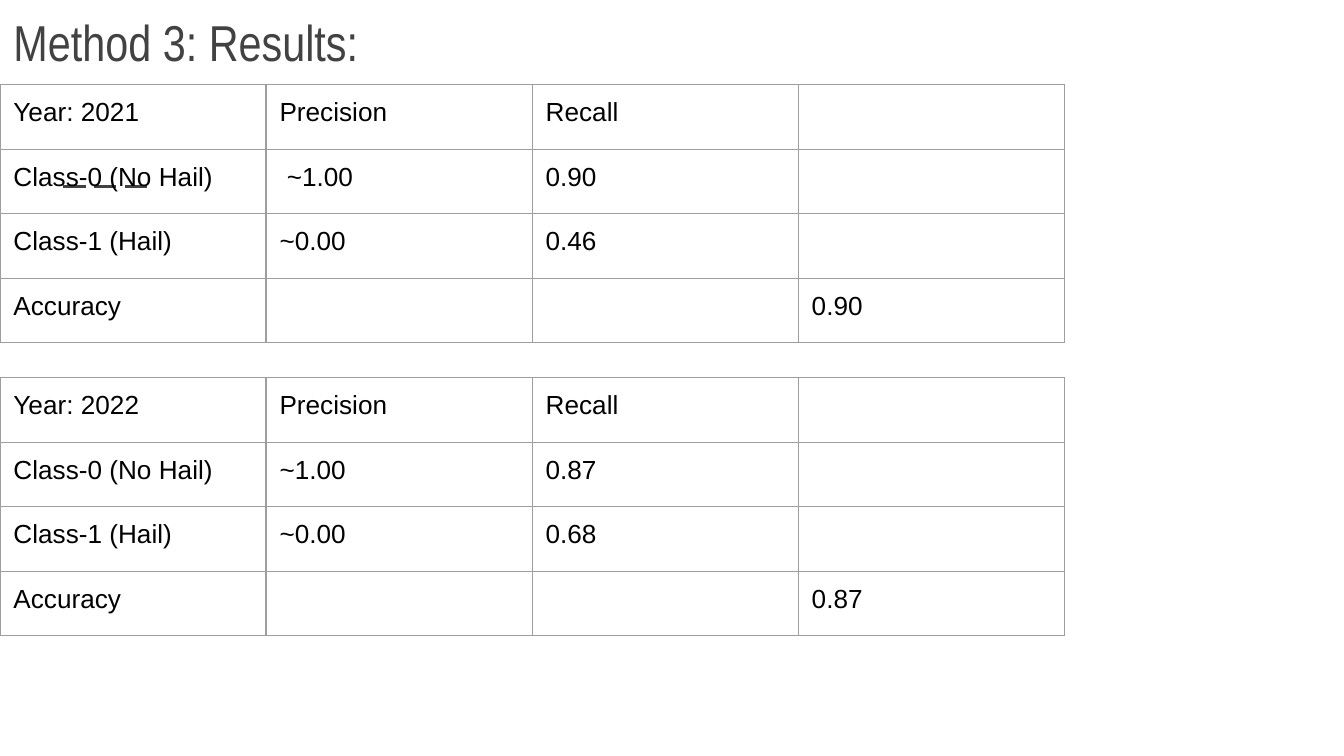
from lxml.etree import SubElement
from pptx import Presentation
from pptx.dml.color import RGBColor
from pptx.enum.dml import MSO_LINE
from pptx.enum.shapes import MSO_CONNECTOR
from pptx.enum.text import MSO_ANCHOR, MSO_AUTO_SIZE, PP_ALIGN
from pptx.oxml.ns import qn
from pptx.util import Inches, Pt

COLORS = {"title": "424242", "text": "000000", "grid": "9E9E9E"}
WIDTH = 10
HEIGHT = WIDTH * 9 / 16
COL, ROW = 1.98, 0.48


class Deck:
    """Holds the style and the current slide."""

    def __init__(self):
        self.prs = Presentation()
        self.prs.slide_width = Inches(WIDTH)
        self.prs.slide_height = Inches(HEIGHT)
        self.slide = self.prs.slides.add_slide(self.prs.slide_layouts[5])

    def style(self, frame, size, font, color):
        for para in frame.paragraphs:
            para.alignment = PP_ALIGN.LEFT
            for run in para.runs:
                run.font.size = Pt(size)
                run.font.name = font
                run.font.color.rgb = RGBColor.from_string(COLORS[color])

    def title(self, text, width, height):
        shape = self.slide.shapes.title
        shape.left = shape.top = 0
        shape.width, shape.height = Inches(width), Inches(height)
        frame = shape.text_frame
        frame.text = text
        frame.auto_size = MSO_AUTO_SIZE.NONE
        frame.vertical_anchor = MSO_ANCHOR.BOTTOM
        frame.margin_left = frame.margin_right = Inches(0.1)
        frame.margin_top = frame.margin_bottom = Inches(0.1)
        self.style(frame, 27, "Arial Narrow", "title")

    def dash(self, left, right, top):
        line = self.slide.shapes.add_connector(
            MSO_CONNECTOR.STRAIGHT, Inches(left), Inches(top), Inches(right), Inches(top))
        line.line.color.rgb = RGBColor.from_string(COLORS["title"])
        line.line.width = Pt(1.5)
        line.line.dash_style = MSO_LINE.LONG_DASH
        SubElement(line._element.spPr, qn("a:effectLst"))

    def border(self, cell):
        props = cell._tc.get_or_add_tcPr()
        for side in ("lnL", "lnR", "lnT", "lnB"):
            edge = SubElement(props, qn(f"a:{side}"), w=str(Pt(0.75)))
            fill = SubElement(edge, qn("a:solidFill"))
            SubElement(fill, qn("a:srgbClr"), val=COLORS["grid"])

    def table(self, top, rows):
        count, span = len(rows), len(rows[0])
        table = self.slide.shapes.add_table(
            count, span, 0, Inches(top), Inches(COL * span), Inches(ROW * count)).table
        table.first_row = table.horz_banding = False
        for r, row in enumerate(rows):
            for c, text in enumerate(row):
                cell = table.cell(r, c)
                self.border(cell)
                cell.fill.background()
                if text:
                    cell.text_frame.text = text
                    cell.margin_top = cell.margin_bottom = Inches(0.1)
                    self.style(cell.text_frame, 14, "Arial", "text")


def scores(year, none, hail, total):
    """Lay out one year's scores as table rows."""
    return [
        (f"Year: {year}", "Precision", "Recall", ""),
        ("Class-0 (No Hail)", *none, ""),
        ("Class-1 (Hail)", *hail, ""),
        ("Accuracy", "", "", total),
    ]


def main():
    deck = Deck()
    deck.dash(0.47, 1.14, 1.39)
    deck.title("Method 3: Results:", 9.32, 0.63)
    deck.table(0.63, scores(2021, (" ~1.00", "0.90"), ("~0.00", "0.46"), "0.90"))
    deck.table(2.81, scores(2022, ("~1.00", "0.87"), ("~0.00", "0.68"), "0.87"))
    deck.prs.save("out.pptx")


if __name__ == "__main__":
    main()
